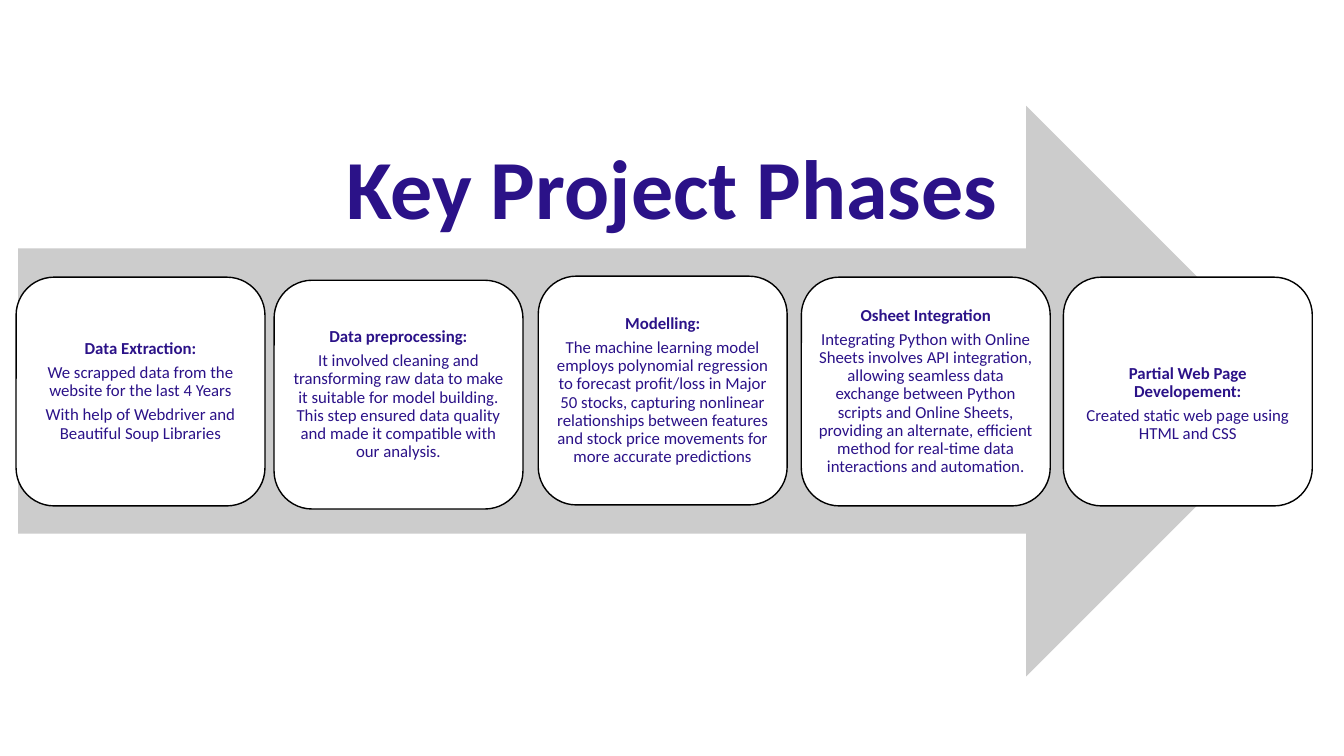
from dataclasses import dataclass

import pptx
import pptx.dml.color
import pptx.enum.shapes
import pptx.enum.text
import pptx.util

Pt = pptx.util.Pt
Color = pptx.dml.color.RGBColor.from_string
Shape = pptx.enum.shapes.MSO_SHAPE
Text = pptx.enum.text


@dataclass(frozen=True)
class Theme:
    font: str = "Calibri"
    ink: str = "2B1288"
    band: str = "CCCCCC"
    card: str = "FFFFFF"
    edge: str = "000000"
    title: float = 60
    body: float = 12


THEME = Theme()
WIDTH, HEIGHT = 177.8, 163.4
INSET = 3.6
DROP = 17.4

PHASES = [
    (11.5, 198, 0, "Data Extraction:", [
        "We scrapped data from the website for the last 4 Years",
        "With help of Webdriver and Beautiful Soup Libraries"]),
    (195.8, 200.2, 0, "Data preprocessing:", [
        "It involved cleaning and transforming raw data to make it suitable "
        "for model building. This step ensured data quality and made it "
        "compatible with our analysis."]),
    (384.5, 197.3, 0, "Modelling:", [
        "The machine learning model employs polynomial regression to forecast "
        "profit/loss in Major 50 stocks, capturing nonlinear relationships "
        "between features and stock price movements for more accurate "
        "predictions"]),
    (572.4, 198, 0, "Osheet Integration", [
        "Integrating Python with Online Sheets involves API integration, "
        "allowing seamless data exchange between Python scripts and Online "
        "Sheets, providing an alternate, efficient method for real-time data "
        "interactions and automation."]),
    (759.6, 198, DROP, "Partial Web Page Developement:", [
        "Created static web page using HTML and CSS"]),
]


def assign(item, values):
    for name, value in values.items():
        setattr(item, name, value)


def write(para, words, size, bold, **format):
    run = para.add_run()
    run.text = words
    assign(para, {"alignment": Text.PP_ALIGN.CENTER, **format})
    assign(run.font, {"name": THEME.font, "size": Pt(size), "bold": bold})
    run.font.color.rgb = Color(THEME.ink)


def block(slide, kind, box, fill):
    shape = slide.shapes.add_shape(kind, *map(Pt, box))
    shape.shadow.inherit = False
    shape.fill.solid()
    shape.fill.fore_color.rgb = Color(fill)
    shape.line.fill.background()
    return shape


def title(slide, words, box):
    frame = slide.shapes.add_textbox(*map(Pt, box)).text_frame
    assign(frame, {"word_wrap": True,
                   "auto_size": Text.MSO_AUTO_SIZE.SHAPE_TO_FIT_TEXT})
    write(frame.paragraphs[0], words, THEME.title, True)


def card(slide, left, top, drop, head, lines):
    shape = block(slide, Shape.ROUNDED_RECTANGLE,
                  (left, top, WIDTH, HEIGHT), THEME.card)
    shape.line.color.rgb = Color(THEME.edge)
    shape.line.width = Pt(1)
    frame = shape.text_frame
    assign(frame, {
        "word_wrap": True,
        "vertical_anchor": Text.MSO_ANCHOR.MIDDLE,
        "margin_left": Pt(INSET),
        "margin_right": Pt(INSET),
        "margin_top": Pt(INSET + drop),
        "margin_bottom": Pt(INSET),
    })
    for place, words in enumerate([head, *lines]):
        para = frame.add_paragraph() if place else frame.paragraphs[0]
        write(para, words, THEME.body, place == 0,
              line_spacing=0.9, space_after=Pt(4.2))


def main():
    deck = pptx.Presentation()
    assign(deck, {"slide_width": Pt(960), "slide_height": Pt(540)})
    slide = deck.slides.add_slide(deck.slide_layouts[6])
    title(slide, "Key Project Phases", (123.8, 92.9, 712.1, 79.9))
    block(slide, Shape.RIGHT_ARROW, (13, 75.6, 923.8, 407.5), THEME.band)
    for phase in PHASES:
        card(slide, *phase)
    deck.save("out.pptx")


if __name__ == "__main__":
    main()
